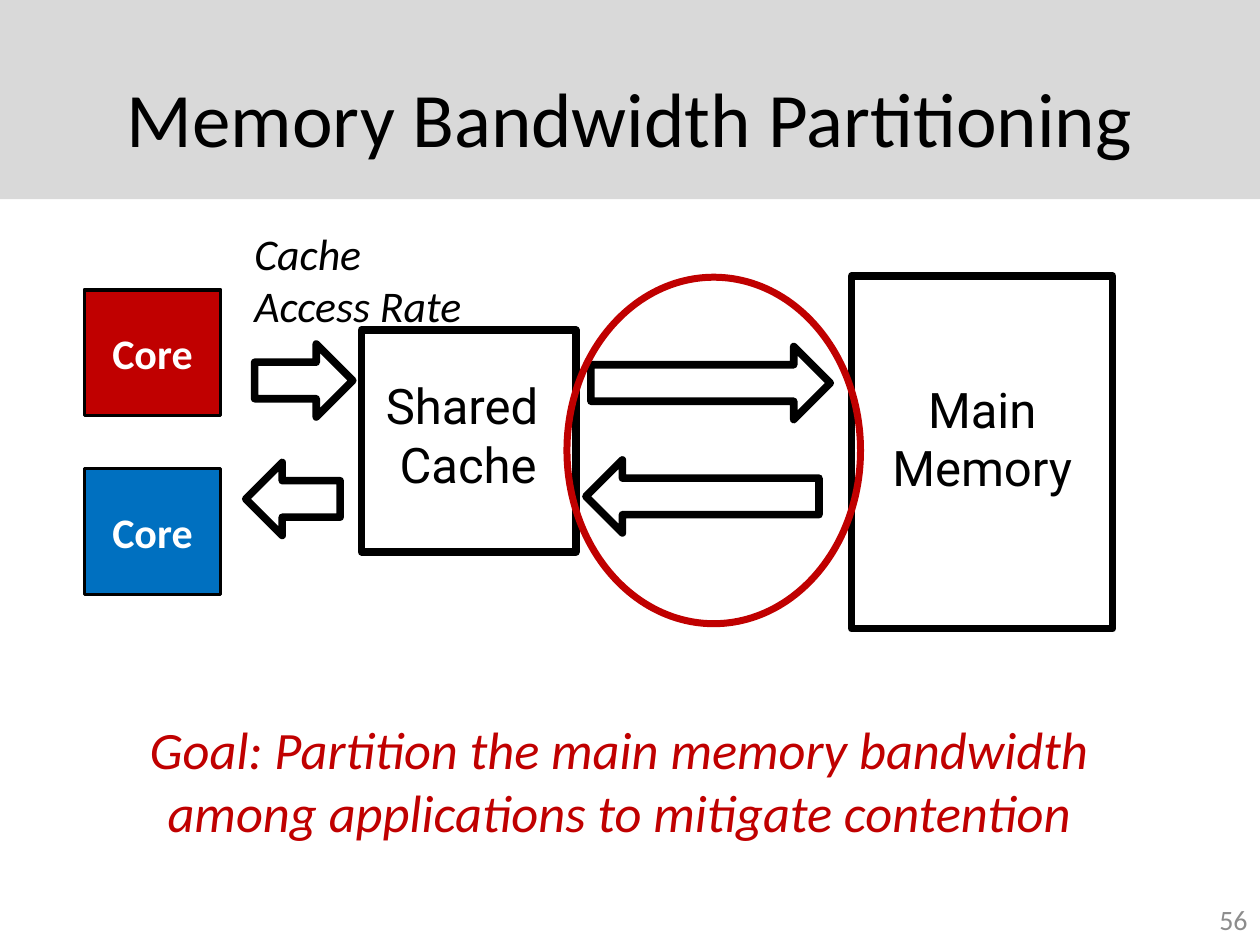
import pptx
import pptx.dml.color
import pptx.enum.shapes
import pptx.enum.text
import pptx.util

Inches = pptx.util.Inches
RGBColor = pptx.dml.color.RGBColor
Shape = pptx.enum.shapes.MSO_SHAPE
Align = pptx.enum.text.PP_ALIGN
Anchor = pptx.enum.text.MSO_ANCHOR

BLACK = RGBColor(0x00, 0x00, 0x00)
WHITE = RGBColor(0xFF, 0xFF, 0xFF)
BANNER_GRAY = RGBColor(0xD9, 0xD9, 0xD9)
NUMBER_GRAY = RGBColor(0x8C, 0x8C, 0x8C)
RED = RGBColor(0xC0, 0x00, 0x00)
BLUE = RGBColor(0x00, 0x70, 0xC0)

BLOCK_LINE = 4.32
ARROW_HEIGHT = 0.58


def write_text(shape, text, size, font="Calibri", color=BLACK, bold=False,
               italic=False, align=Align.CENTER, anchor=Anchor.TOP):
    frame = shape.text_frame
    frame.word_wrap = True
    frame.vertical_anchor = anchor
    frame.text = text
    for paragraph in frame.paragraphs:
        paragraph.alignment = align
        for run in paragraph.runs:
            run.font.name = font
            run.font.size = pptx.util.Pt(size)
            run.font.bold = bold
            run.font.italic = italic
            run.font.color.rgb = color


def add_label(slide, box, text, size, **text_format):
    label = slide.shapes.add_textbox(*map(Inches, box))
    write_text(label, text, size, **text_format)


def add_figure(slide, kind, box, fill=None, line=None, width=BLOCK_LINE):
    figure = slide.shapes.add_shape(kind, *map(Inches, box))
    figure.shadow.inherit = False
    if fill is None:
        figure.fill.background()
    else:
        figure.fill.solid()
        figure.fill.fore_color.rgb = fill
    if line is None:
        figure.line.fill.background()
    else:
        figure.line.color.rgb = line
        figure.line.width = pptx.util.Pt(width)
    return figure


def add_core(slide, top, color):
    core = add_figure(slide, Shape.RECTANGLE, (0.67, top, 1.08, 1), color, BLACK, 2)
    write_text(core, "Core", 24, color=WHITE, bold=True, anchor=Anchor.MIDDLE)


def add_arrow(slide, kind, left, top, width):
    add_figure(slide, kind, (left, top, width, ARROW_HEIGHT), line=BLACK)


def add_block(slide, box, text_box, text):
    add_figure(slide, Shape.RECTANGLE, box, line=BLACK)
    add_label(slide, text_box, text, 28, font="Roboto")


def main():
    presentation = pptx.Presentation()
    presentation.slide_width = Inches(10)
    presentation.slide_height = Inches(7.5)
    slide = presentation.slides.add_slide(presentation.slide_layouts[6])

    add_figure(slide, Shape.RECTANGLE, (0, 0, 10, 1.58), BANNER_GRAY)
    add_label(slide, (0.5, 0.3, 9, 1.25), "Memory Bandwidth Partitioning", 44,
              anchor=Anchor.MIDDLE)
    add_label(slide, (7.67, 7.1, 2.33, 0.4), "56", 16, color=NUMBER_GRAY,
              align=Align.RIGHT, anchor=Anchor.MIDDLE)

    add_block(slide, (6.76, 2.19, 2.07, 2.8), (6.79, 2.96, 2.01, 1.04), "Main Memory")
    add_block(slide, (2.87, 2.62, 1.7, 1.76), (2.89, 2.93, 1.65, 1.04), "Shared \nCache")

    add_arrow(slide, Shape.RIGHT_ARROW, 4.69, 2.75, 1.9)
    add_arrow(slide, Shape.LEFT_ARROW, 4.65, 3.65, 1.85)
    add_arrow(slide, Shape.RIGHT_ARROW, 2.02, 2.73, 0.78)
    add_arrow(slide, Shape.LEFT_ARROW, 1.95, 3.67, 0.75)
    add_label(slide, (1.92, 1.75, 2.17, 0.94), "Cache\nAccess Rate", 25,
              italic=True, align=Align.LEFT)

    add_core(slide, 2.3, RED)
    add_core(slide, 3.72, BLUE)

    add_figure(slide, Shape.OVAL, (4.5, 2.2, 2.33, 2.75), line=RED, width=4)
    add_label(slide, (0.83, 5.64, 8.17, 1.11),
              "Goal: Partition the main memory bandwidth among applications "
              "to mitigate contention", 30, color=RED, italic=True)

    presentation.save("out.pptx")


if __name__ == "__main__":
    main()
